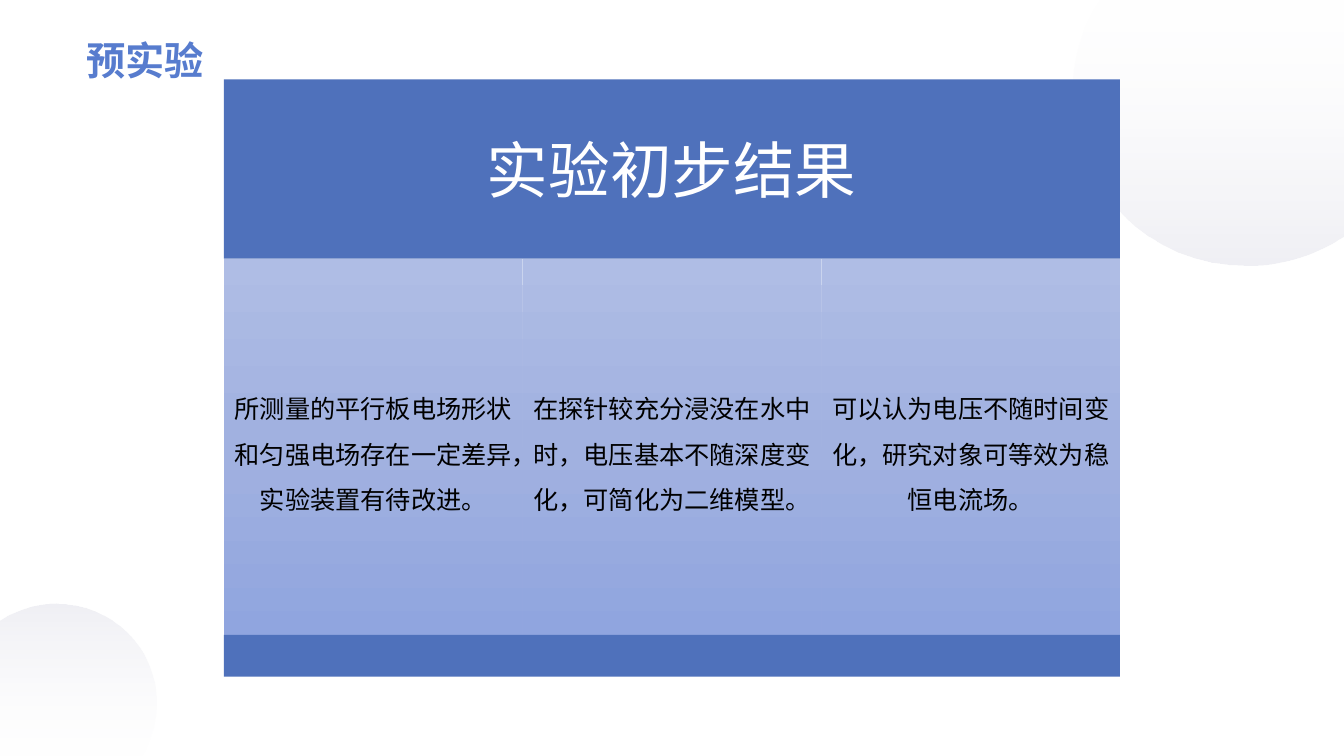
"""Build the slide on the first results of the preliminary experiment."""
import pptx
import pptx.dml.color
import pptx.enum.shapes
import pptx.enum.text
import pptx.oxml
import pptx.oxml.ns
import pptx.util
from lxml import etree

WIDTH, HEIGHT = 960, 540
CJK_FONT = "Noto Sans CJK SC"
BLUE = "4F71BB"
PANEL_STOPS = [(0, "AFBDE5", 100), (50, "A1B1E0", 100), (100, "90A5DF", 100)]
CLEAR, GREY = ("FFFFFF", 10), ("BEBED2", 24)
TOP_CORNERS = [(786.2, 0), (WIDTH, 0), (WIDTH, 168.5), (950.4, 174.2)]
TOP_CURVES = [
    (932.4, 183.6), (912.2, 189.4), (890.6, 189.4),
    (821.5, 189.4), (766.1, 134.6), (766.1, 66.2),
    (766.1, 45.4), (771.1, 25.2), (781.2, 7.9),
]
BOTTOM_CORNERS = [(100.1, HEIGHT), (0, HEIGHT), (0, 443.5), (5.8, 439.9)]
BOTTOM_CURVES = [
    (15.8, 434.9), (27.4, 431.3), (39.6, 431.3),
    (79.2, 431.3), (111.6, 463), (111.6, 501.8),
    (111.6, 514.1), (108, 525.6), (103, 535.7),
]
FINDINGS = [
    ("所测量的平行板电场形状和匀强电场存在一定差异，实验装置有待改进。", "Arial"),
    ("在探针较充分浸没在水中时，电压基本不随深度变化，可简化为二维模型。", CJK_FONT),
    ("可以认为电压不随时间变化，研究对象可等效为稳恒电流场。", CJK_FONT),
]


def color(value):
    return pptx.dml.color.RGBColor.from_string(value)


def write(box, text, size=18, ink="000000", font=CJK_FONT, bold=False,
          centred=True, spacing=1.0, inset=5):
    frame = box.text_frame
    frame.word_wrap = True
    para = frame.paragraphs[0]
    para.line_spacing = spacing
    if centred:
        frame.vertical_anchor = pptx.enum.text.MSO_ANCHOR.MIDDLE
        frame.margin_left = frame.margin_right = pptx.util.Pt(inset)
        frame.margin_top = frame.margin_bottom = pptx.util.Pt(inset)
        para.alignment = pptx.enum.text.PP_ALIGN.CENTER
        para.space_after = pptx.util.Pt(0.35 * size)
    span = para.add_run()
    span.text = text
    span.font.size = pptx.util.Pt(size)
    span.font.name = font
    span.font.bold = bold
    span.font.color.rgb = color(ink)
    east = etree.SubElement(span.font._element, pptx.oxml.ns.qn("a:ea"))
    east.set("typeface", CJK_FONT)


class Page:
    """Hold the current slide and draw its elements, measured in points."""

    def __init__(self, slide):
        self.shapes = slide.shapes

    def finish(self, shape, fill):
        shape.shadow.inherit = False
        shape.line.fill.background()
        if isinstance(fill, str):
            shape.fill.solid()
            shape.fill.fore_color.rgb = color(fill)
            return shape
        shape.fill.gradient()
        shape.fill.gradient_angle = 270
        qn = pptx.oxml.ns.qn
        stop_list = shape._element.spPr.find(".//" + qn("a:gsLst"))
        for stop in list(stop_list):
            stop_list.remove(stop)
        for place, value, opacity in fill:
            stop = etree.SubElement(stop_list, qn("a:gs"), pos=str(place * 1000))
            tint = etree.SubElement(stop, qn("a:srgbClr"), val=value)
            if opacity < 100:
                etree.SubElement(tint, qn("a:alpha"), val=str(opacity * 1000))
        return shape

    def rectangle(self, left, top, width, height, fill):
        kind = pptx.enum.shapes.MSO_SHAPE.RECTANGLE
        sides = [pptx.util.Pt(side) for side in (left, top, width, height)]
        return self.finish(self.shapes.add_shape(kind, *sides), fill)

    def textbox(self, left, top, width, height):
        sides = [pptx.util.Pt(side) for side in (left, top, width, height)]
        return self.shapes.add_textbox(*sides)

    def cut_circle(self, corners, curves, fill):
        points = [(pptx.util.Pt(x), pptx.util.Pt(y)) for x, y in corners + curves]
        builder = self.shapes.build_freeform(*points[0])
        builder.add_line_segments(points[1:], close=True)
        shape = builder.convert_to_shape()
        qn = pptx.oxml.ns.qn
        steps = list(shape._element.spPr.iter(qn("a:lnTo")))[len(corners) - 1:]
        for first in range(0, len(curves), 3):
            curve = etree.Element(qn("a:cubicBezTo"))
            steps[first].addprevious(curve)
            for step in steps[first:first + 3]:
                curve.append(step[0])
                step.getparent().remove(step)
        return self.finish(shape, fill)


def main():
    deck = pptx.Presentation()
    deck.slide_width = pptx.util.Pt(WIDTH)
    deck.slide_height = pptx.util.Pt(HEIGHT)
    page = Page(deck.slides.add_slide(deck.slide_layouts[6]))

    page.cut_circle(TOP_CORNERS, TOP_CURVES, [(0, *CLEAR), (100, *GREY)])
    page.cut_circle(BOTTOM_CORNERS, BOTTOM_CURVES, [(0, *GREY), (100, *CLEAR)])
    write(page.textbox(54.7, 22.3, 425.5, 41), "预实验", size=28,
          ink="577CCE", bold=True, centred=False)

    left, width = 160, 640
    banner = page.rectangle(left, 56.7, width, 128, BLUE)
    write(banner, "实验初步结果", size=44, ink="FFFFFF", inset=13)
    column = width / len(FINDINGS)
    for index, (finding, font) in enumerate(FINDINGS):
        panel = page.rectangle(left + index * column, 184.7, column, 268.7,
                               PANEL_STOPS)
        write(panel, finding, font=font, spacing=1.5)
    page.rectangle(left, 453.4, width, 29.9, BLUE)
    deck.save("out.pptx")


if __name__ == "__main__":
    main()
